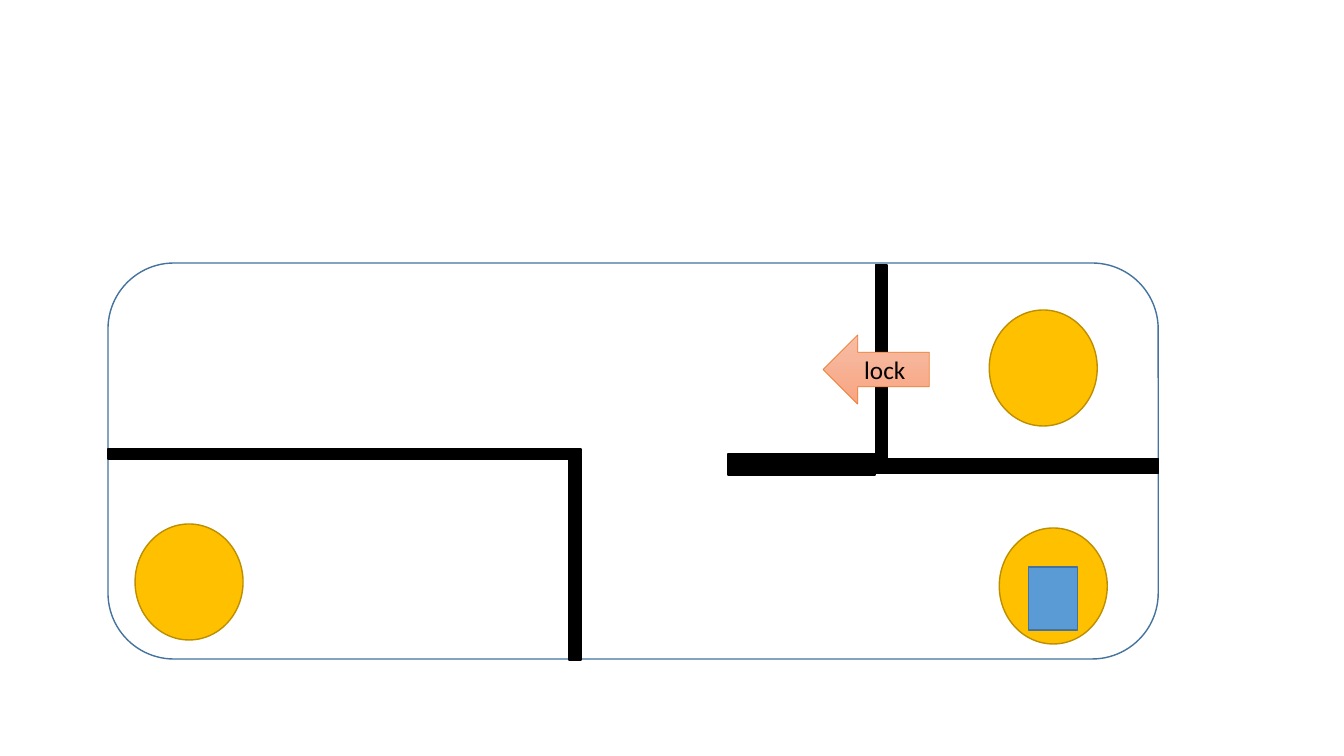
import pptx
import pptx.util
import pptx.dml.color
import pptx.enum.shapes
import pptx.enum.text

KIND = pptx.enum.shapes.MSO_SHAPE
SCALE = 914400 / 100.8  # EMU in one pixel
HUES = {
    "white": "FFFFFF", "black": "000000", "gold": "FFC000", "bronze": "BD8E00",
    "blue": "5B9BD5", "navy": "43739E", "orange": "ED7D31",
    "peach": "F7BDA5", "salmon": "F8A582",
}

# left, top, width, height in pixels
ROOM = (108, 263, 1050, 396)
WALLS_LEFT = [(108, 449, 473, 10), (569, 459, 12, 201)]
WALLS_RIGHT = [(875, 265, 12, 194), (875, 459, 283, 14), (728, 454, 147, 21)]
DISC = (108, 116)
DISCS = [(135, 524), (999, 528), (989, 310)]
LOCK = (823, 335, 106, 69)
BOX = (1028, 567, 49, 63)


def emu(size):
    """Turn pixels into EMU."""
    return pptx.util.Emu(round(size * SCALE))


def hue(name):
    """Look up a colour by name."""
    return pptx.dml.color.RGBColor.from_string(HUES[name])


def draw(kind, area, fill, line, width=1):
    """Add a flat shape with a fill and an outline."""
    shape = slide.shapes.add_shape(kind, *map(emu, area))
    shape.shadow.inherit = False
    shape.fill.solid()
    shape.fill.fore_color.rgb = hue(fill)
    shape.line.color.rgb = hue(line)
    shape.line.width = pptx.util.Pt(width)
    return shape


def label(shape, text):
    """Write centred black text on a shape."""
    frame = shape.text_frame
    frame.vertical_anchor = pptx.enum.text.MSO_ANCHOR.MIDDLE
    para = frame.paragraphs[0]
    para.text = text
    para.alignment = pptx.enum.text.PP_ALIGN.CENTER
    para.font.name = "Calibri"
    para.font.size = pptx.util.Pt(18)
    para.font.color.rgb = hue("black")


deck = pptx.Presentation()
deck.slide_width = pptx.util.Inches(13.33)
deck.slide_height = pptx.util.Inches(7.5)
slide = deck.slides.add_slide(deck.slide_layouts[6])

draw(KIND.ROUNDED_RECTANGLE, ROOM, "white", "navy")
for wall in WALLS_LEFT + WALLS_RIGHT:
    draw(KIND.RECTANGLE, wall, "black", "black")
for spot in DISCS:
    draw(KIND.OVAL, spot + DISC, "gold", "bronze")

lock = draw(KIND.LEFT_ARROW, LOCK, "peach", "orange", 0.5)
lock.fill.gradient()
lock.fill.gradient_angle = 270
for stop, name in zip(lock.fill.gradient_stops, ("peach", "salmon")):
    stop.color.rgb = hue(name)
label(lock, "lock")

draw(KIND.RECTANGLE, BOX, "blue", "navy")

deck.save("out.pptx")
